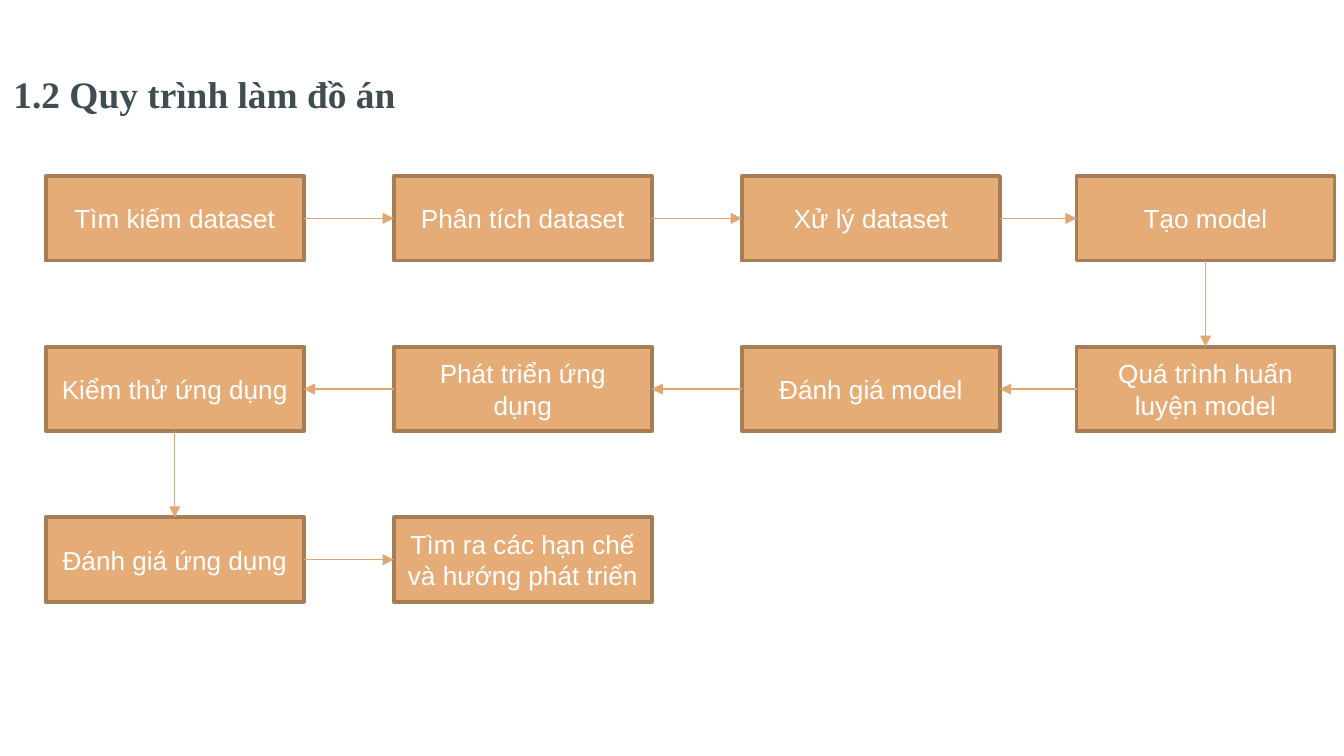
from itertools import pairwise

from pptx import Presentation
from pptx.dml.color import RGBColor
from pptx.enum.shapes import MSO_CONNECTOR as CONNECTOR, MSO_SHAPE as SHAPE
from pptx.enum.text import MSO_ANCHOR as ANCHOR, MSO_AUTO_SIZE as AUTO_SIZE, PP_ALIGN as ALIGN
from pptx.oxml.ns import qn
from pptx.util import Inches, Pt

TITLE = "1.2 Quy trình làm đồ án"
STEPS = [
    ("Tìm kiếm dataset", 0, 0),
    ("Phân tích dataset", 0, 1),
    ("Xử lý dataset", 0, 2),
    ("Tạo model", 0, 3),
    ("Quá trình huấn luyện model", 1, 3),
    ("Đánh giá model", 1, 2),
    ("Phát triển ứng dụng", 1, 1),
    ("Kiểm thử ứng dụng", 1, 0),
    ("Đánh giá ứng dụng", 2, 0),
    ("Tìm ra các hạn chế và hướng phát triển", 2, 1),
]
COLORS = {"title": "3F4D53", "fill": "E5AC77", "border": "A77D56", "arrow": "E1A771", "text": "FFFFFF"}
COLUMNS = [0.34, 2.93, 5.52, 8.01]
TOP, ROW_STEP = 1.31, 1.27
BOX_W, BOX_H = 1.92, 0.63
SIDES = {(0, 1): (3, 1), (0, -1): (1, 3), (1, 0): (2, 0)}


def rgb(name):
    return RGBColor.from_string(COLORS[name])


def style_text(p, font, size, color, align):
    p.alignment = align
    p.font.name, p.font.size = font, Pt(size)
    p.font.color.rgb = rgb(color)


def add_title(s):
    sp = s.shapes.title
    sp.left, sp.top, sp.width, sp.height = Inches(0), Inches(0.43), Inches(6.28), Inches(0.63)
    tf = sp.text_frame
    tf.text = TITLE
    tf.auto_size, tf.vertical_anchor = AUTO_SIZE.NONE, ANCHOR.TOP
    tf.margin_left = tf.margin_right = tf.margin_top = tf.margin_bottom = Inches(0.1)
    p = tf.paragraphs[0]
    style_text(p, "Times New Roman", 20, "title", ALIGN.LEFT)
    p.font.bold = True


def add_step(s, text, row, col):
    sp = s.shapes.add_shape(SHAPE.RECTANGLE, Inches(COLUMNS[col]), Inches(TOP + row * ROW_STEP),
                            Inches(BOX_W), Inches(BOX_H))
    sp.shadow.inherit = False
    sp.fill.solid()
    sp.fill.fore_color.rgb = rgb("fill")
    sp.line.color.rgb, sp.line.width = rgb("border"), Pt(2)
    tf = sp.text_frame
    tf.text = text
    tf.word_wrap, tf.vertical_anchor = True, ANCHOR.MIDDLE
    style_text(tf.paragraphs[0], "Arial", 14, "text", ALIGN.CENTER)
    return sp


def add_arrow(s, start, end, sides):
    line = s.shapes.add_connector(CONNECTOR.STRAIGHT, 0, 0, 0, 0)
    line.begin_connect(start, sides[0])
    line.end_connect(end, sides[1])
    line.line.color.rgb, line.line.width = rgb("arrow"), Pt(0.75)
    ln = line.line._get_or_add_ln()
    ln.append(ln.makeelement(qn("a:tailEnd"), {"type": "triangle"}))
    ln.addnext(ln.makeelement(qn("a:effectLst"), {}))


def main():
    """Build the project workflow slide."""
    prs = Presentation()
    prs.slide_width = Inches(10)
    prs.slide_height = prs.slide_width * 9 // 16
    s = prs.slides.add_slide(prs.slide_layouts[5])
    add_title(s)
    boxes = [(add_step(s, *step), *step[1:]) for step in STEPS]
    for (start, row, col), (end, next_row, next_col) in pairwise(boxes):
        add_arrow(s, start, end, SIDES[next_row - row, next_col - col])
    prs.save("out.pptx")


if __name__ == "__main__":
    main()
